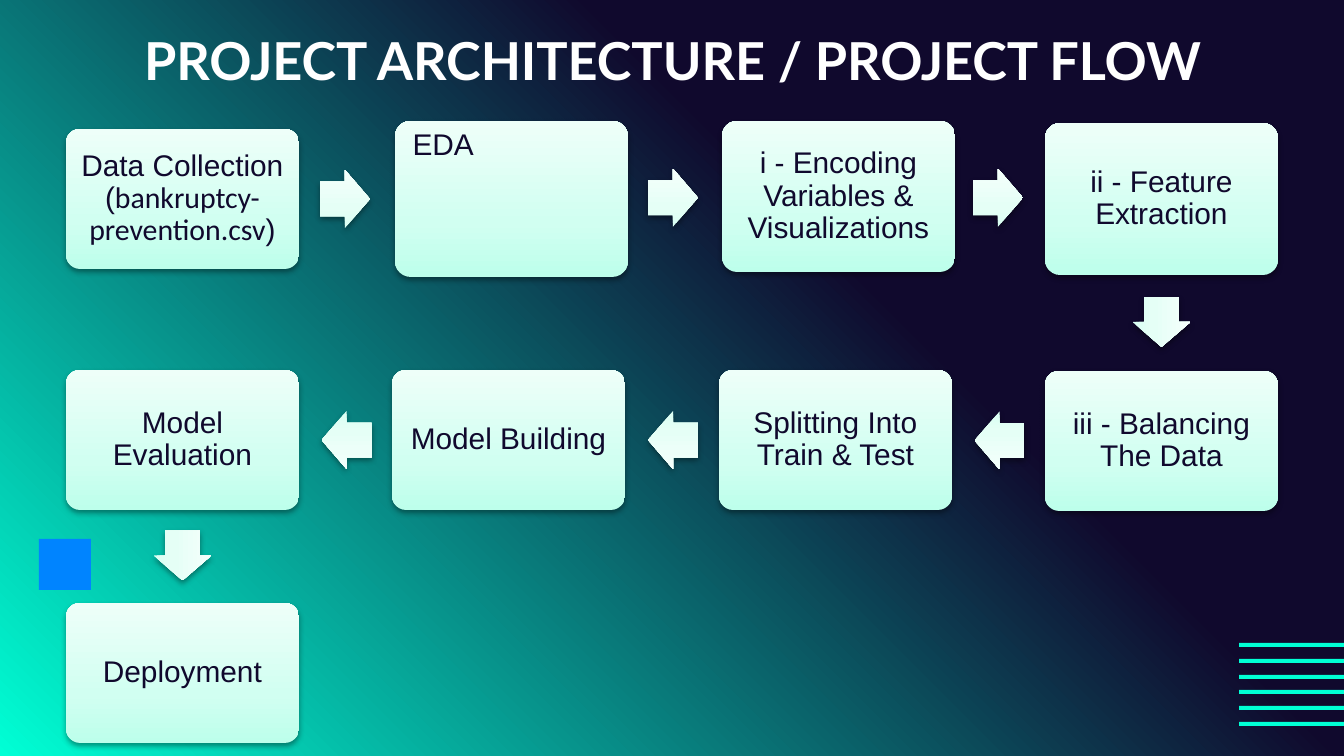
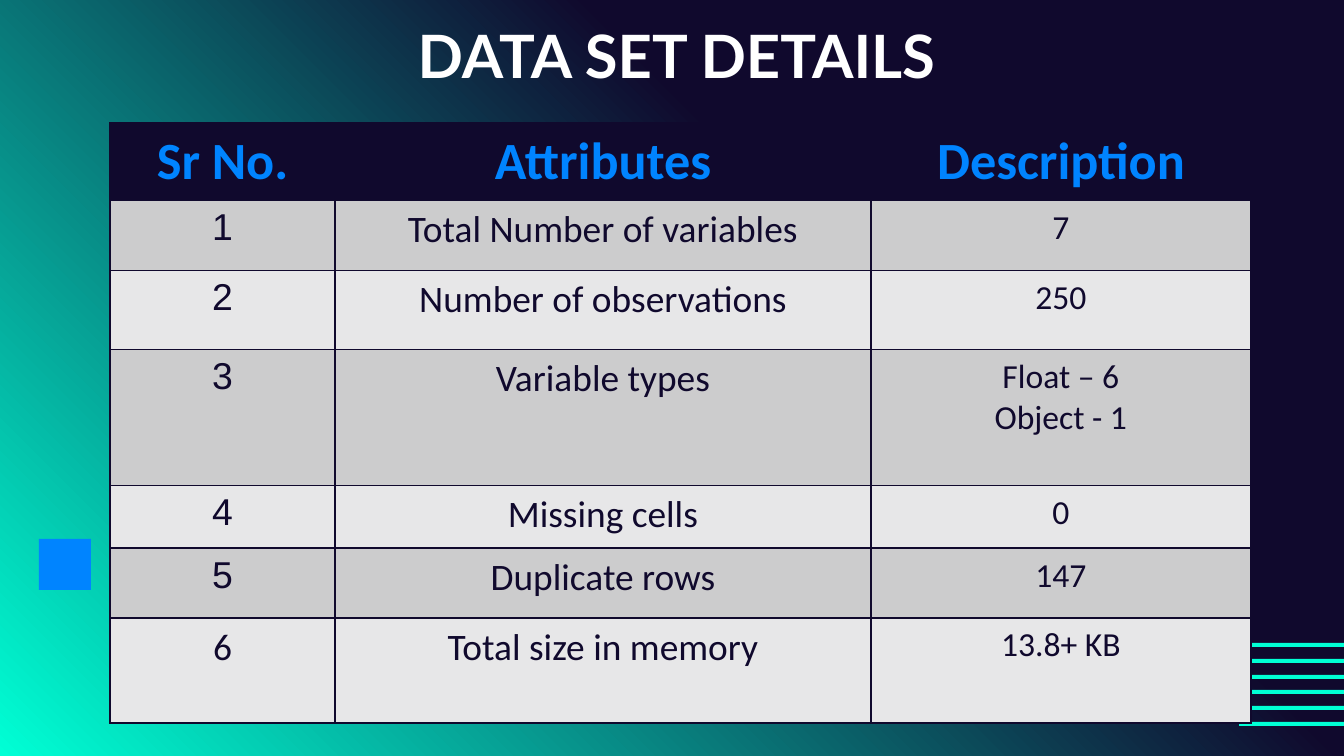
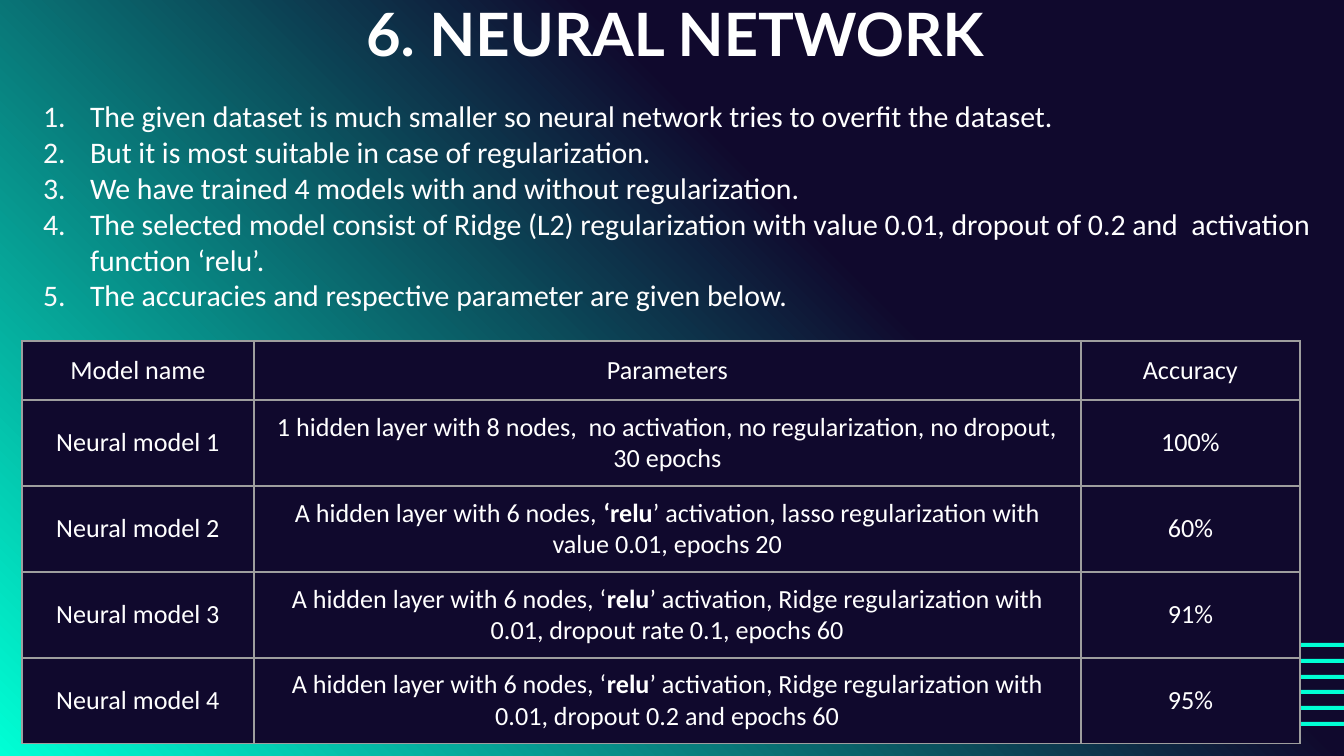
import copy
from dataclasses import dataclass

import lxml.etree
import pptx
import pptx.dml.color
import pptx.enum.shapes
import pptx.enum.text
import pptx.oxml
import pptx.oxml.ns
import pptx.util

ALIGN = pptx.enum.text.PP_ALIGN
ANCHOR = pptx.enum.text.MSO_ANCHOR
SHAPE = pptx.enum.shapes.MSO_SHAPE
qn = pptx.oxml.ns.qn


@dataclass(frozen=True)
class Theme:
    navy: str = "10092D"
    mint: str = "00FFD5"
    blue: str = "0084FF"
    white: str = "FFFFFF"
    number: str = "FAFAFA"
    band_dark: str = "CCCCCD"
    band_light: str = "E7E7E8"
    grid: str = "9E9E9E"
    shadow: str = "000000"
    backdrop: tuple = ((0, "10092D"), (0.36, "10092D"), (1, "00FFD5"))
    card: tuple = ((0, "BDFFEB"), (0.35, "D1FFF1"), (1, "EEFFF9"))
    arrow: tuple = ((0, "DAFFF3"), (0.35, "E5FFF6"), (1, "F5FFFC"))
    title_font: str = "Lato"
    text_font: str = "Calibri"
    plain_font: str = "Arial"
    title_size: int = 32
    long_title_size: int = 28
    header_size: int = 28
    attribute_size: int = 20
    value_size: int = 18
    body_size: int = 16
    model_size: int = 14


THEME = Theme()


@dataclass(frozen=True)
class Run:
    text: str
    font: str
    size: int
    color: str
    bold: bool = False


@dataclass(frozen=True)
class Box:
    left: int
    top: int
    width: int
    height: int

    @property
    def right(self):
        return self.left + self.width

    @property
    def bottom(self):
        return self.top + self.height

    @property
    def middle(self):
        return self.top + self.height / 2

    def emu(self):
        return [px(side) for side in (self.left, self.top, self.width, self.height)]


SLIDE = Box(0, 0, 1344, 756)


def px(length):
    return pptx.util.Emu(round(length * 914400 / 134.4))


def rgb(value):
    return pptx.dml.color.RGBColor.from_string(value)


def write_runs(paragraph, runs):
    for part in runs:
        run = paragraph.add_run()
        run.text = part.text
        run.font.name = part.font
        run.font.size = pptx.util.Pt(part.size)
        run.font.bold = part.bold
        run.font.color.rgb = rgb(part.color)


def set_margins(frame, left, top, right, bottom):
    frame.margin_left, frame.margin_top = px(left), px(top)
    frame.margin_right, frame.margin_bottom = px(right), px(bottom)


def paint_gradient(fill, owner, stops, angle):
    fill.gradient()
    fill.gradient_angle = angle
    stop_list = owner.find(".//" + qn("a:gsLst"))
    stop_list.append(copy.deepcopy(stop_list[0]))
    for stop, (position, color) in zip(fill.gradient_stops, stops):
        stop.position = position
        stop.color.rgb = rgb(color)


def add_preset(slide, preset, box):
    shape = slide.shapes.add_shape(preset, *box.emu())
    shape.shadow.inherit = False
    shape.line.fill.background()
    return shape


def add_flat(slide, box, color):
    shape = add_preset(slide, SHAPE.RECTANGLE, box)
    shape.fill.solid()
    shape.fill.fore_color.rgb = rgb(color)


def add_raised(slide, preset, box, stops):
    shape = add_preset(slide, preset, box)
    paint_gradient(shape.fill, shape.element, stops, 90)
    effects = shape.element.spPr.find(qn("a:effectLst"))
    shadow = lxml.etree.SubElement(
        effects, qn("a:outerShdw"), blurRad=str(pptx.util.Pt(3.1)),
        dist=str(pptx.util.Pt(1.6)), dir="5400000", rotWithShape="0")
    color = lxml.etree.SubElement(shadow, qn("a:srgbClr"), val=THEME.shadow)
    lxml.etree.SubElement(color, qn("a:alpha"), val="38000")
    return shape


def add_decoration(slide):
    stripes = Box(1239, 643, 344, 83)
    for index in range(6):
        add_flat(slide, Box(stripes.left, stripes.top + round(index * 15.8),
                            stripes.width, 4), THEME.mint)
    add_flat(slide, Box(39, 539, 52, 51), THEME.blue)


def start_slide(deck, title, box, size=THEME.title_size, align=ALIGN.CENTER):
    slide = deck.slides.add_slide(deck.slide_layouts[5])
    add_decoration(slide)
    heading = slide.shapes.title
    heading.left, heading.top, heading.width, heading.height = box.emu()
    frame = heading.text_frame
    frame.auto_size = pptx.enum.text.MSO_AUTO_SIZE.NONE
    frame.vertical_anchor = ANCHOR.MIDDLE
    set_margins(frame, 13, 0, 13, 0)
    frame.paragraphs[0].alignment = align
    write_runs(frame.paragraphs[0],
               [Run(title, THEME.title_font, size, THEME.white, True)])
    return slide


def add_card(slide, box, runs, corner_text):
    card = add_raised(slide, SHAPE.ROUNDED_RECTANGLE, box, THEME.card)
    card.adjustments[0] = 0.1
    frame = card.text_frame
    frame.word_wrap = True
    frame.vertical_anchor = ANCHOR.TOP if corner_text else ANCHOR.MIDDLE
    set_margins(frame, *((13, 4, 9, 9) if corner_text else (9, 9, 9, 9)))
    paragraph = frame.paragraphs[0]
    paragraph.alignment = ALIGN.LEFT if corner_text else ALIGN.CENTER
    paragraph.line_spacing = 0.9
    write_runs(paragraph, runs)


def add_step_arrow(slide, source, target):
    width, height, lead = 50, 58, 2
    if target.top >= source.bottom:
        angle = 90
        x = source.left + source.width / 2
        y = (source.bottom + target.top) / 2 - 1
    else:
        forward = target.left > source.left
        angle = 0 if forward else 180
        first, second = (source, target) if forward else (target, source)
        x = (first.right + second.left) / 2 + (-lead if forward else 1)
        y = (source.middle + target.middle) / 2
    arrow = add_raised(slide, SHAPE.RIGHT_ARROW,
                       Box(x - width / 2, y - height / 2, width, height), THEME.arrow)
    arrow.adjustments[0] = 0.6
    arrow.adjustments[1] = 0.5
    arrow.rotation = angle


def step_text(text, font=THEME.plain_font):
    return Run(text, font, THEME.body_size, THEME.navy)


def build_flow(deck):
    slide = start_slide(deck, "PROJECT ARCHITECTURE / PROJECT FLOW",
                        Box(106, 0, 1133, 119), THEME.long_title_size)
    collection = [step_text("Data Collection ("),
                  step_text("bankruptcy-prevention.csv", THEME.text_font),
                  step_text(")")]
    steps = [
        (66, 129, 140, collection),
        (395, 121, 156, [step_text("EDA")]),
        (722, 121, 151, [step_text("i - Encoding Variables & Visualizations")]),
        (1045, 123, 152, [step_text("ii - Feature Extraction")]),
        (1045, 371, 140, [step_text("iii - Balancing The Data")]),
        (719, 370, 140, [step_text("Splitting Into Train & Test")]),
        (392, 370, 140, [step_text("Model Building")]),
        (66, 370, 140, [step_text("Model Evaluation")]),
        (66, 603, 140, [step_text("Deployment")]),
    ]
    previous = None
    for left, top, height, runs in steps:
        box = Box(left, top, 233, height)
        if previous:
            add_step_arrow(slide, previous, box)
        add_card(slide, box, runs, runs[0].text == "EDA")
        previous = box


def format_cell(cell, paragraphs, fill, border, border_width, anchor):
    properties = cell._tc.get_or_add_tcPr()
    for side in ("a:lnL", "a:lnR", "a:lnT", "a:lnB"):
        line = lxml.etree.SubElement(properties, qn(side),
                                     w=str(pptx.util.Pt(border_width)))
        solid = lxml.etree.SubElement(line, qn("a:solidFill"))
        lxml.etree.SubElement(solid, qn("a:srgbClr"), val=border)
    cell.fill.solid()
    cell.fill.fore_color.rgb = rgb(fill)
    cell.vertical_anchor = anchor
    frame = cell.text_frame
    for index, runs in enumerate(paragraphs):
        paragraph = frame.add_paragraph() if index else frame.paragraphs[0]
        paragraph.alignment = ALIGN.CENTER
        write_runs(paragraph, runs)


def add_grid(slide, left, top, widths, heights, rows, fills, border, border_width, anchor):
    box = Box(left, top, sum(widths), sum(heights))
    table = slide.shapes.add_table(len(rows), len(widths), *box.emu()).table
    table.first_row = False
    table.horz_banding = False
    for column, width in zip(table.columns, widths):
        column.width = px(width)
    for row, height, contents, fill in zip(table.rows, heights, rows, fills):
        row.height = px(height)
        for cell, paragraphs in zip(row.cells, contents):
            format_cell(cell, paragraphs, fill, border, border_width, anchor)


def build_details(deck):
    slide = start_slide(deck, "DATA SET DETAILS", Box(110, 15, 1133, 80))
    details = [
        ("Total Number of variables", ["7"]),
        ("Number of observations", ["250"]),
        ("Variable types", ["Float – 6", "Object - 1"]),
        ("Missing cells", ["0"]),
        ("Duplicate rows", ["147"]),
        ("Total size in memory", ["13.8+ KB"]),
    ]
    rows = [[[[Run(name, THEME.text_font, THEME.header_size, THEME.blue, True)]]
             for name in ("Sr No.", "Attributes", "Description")]]
    for number, (attribute, values) in enumerate(details, 1):
        number_font = THEME.text_font if number == len(details) else THEME.plain_font
        rows.append([
            [[Run(str(number), number_font, THEME.attribute_size, THEME.navy)]],
            [[Run(attribute, THEME.text_font, THEME.attribute_size, THEME.navy)]],
            [[Run(value, THEME.text_font, THEME.value_size, THEME.navy)]
             for value in values],
        ])
    fills = [THEME.navy] + [THEME.band_dark, THEME.band_light] * 3
    add_grid(slide, 110, 123, (225, 536, 380), (77, 70, 79, 136, 63, 70, 105),
             rows, fills, THEME.navy, 1, ANCHOR.TOP)


def add_numbered_list(slide, box, points):
    frame = slide.shapes.add_textbox(*box.emu()).text_frame
    frame.word_wrap = True
    set_margins(frame, 13, 13, 13, 13)
    for index, point in enumerate(points):
        paragraph = frame.add_paragraph() if index else frame.paragraphs[0]
        properties = paragraph._p.get_or_add_pPr()
        properties.set("marL", str(px(67)))
        properties.set("indent", str(px(-47)))
        color = lxml.etree.SubElement(properties, qn("a:buClr"))
        lxml.etree.SubElement(color, qn("a:srgbClr"), val=THEME.number)
        lxml.etree.SubElement(properties, qn("a:buFont"), typeface=THEME.text_font)
        lxml.etree.SubElement(properties, qn("a:buAutoNum"), type="arabicPeriod")
        write_runs(paragraph, [Run(point, THEME.text_font, THEME.body_size, THEME.white)])


def model_text(text, bold=False):
    return Run(text, THEME.text_font, THEME.model_size, THEME.white, bold)


def build_network(deck):
    slide = start_slide(deck, "6. NEURAL NETWORK", Box(353, 0, 665, 66),
                        align=ALIGN.LEFT)
    add_numbered_list(slide, Box(10, 85, 1334, 277), [
        "The given dataset is much smaller so neural network tries to overfit the dataset.",
        "But it is most suitable in case of regularization.",
        "We have trained 4 models with and without regularization.",
        "The selected model consist of Ridge (L2) regularization with value 0.01, "
        "dropout of 0.2 and  activation function ‘relu’.",
        "The accuracies and respective parameter are given below.",
    ])
    layer = "A hidden layer with 6 nodes, "
    ridge = "’ activation, Ridge regularization with 0.01, "
    models = [
        ([model_text("1 hidden layer with 8 nodes,  no activation, no regularization, "
                     "no dropout, 30 epochs")], "100%"),
        ([model_text(layer), model_text("‘relu", True),
          model_text("’ activation, lasso regularization with value 0.01, epochs 20")],
         "60%"),
        ([model_text(layer + "‘"), model_text("relu", True),
          model_text(ridge + "dropout rate 0.1, epochs 60")], "91%"),
        ([model_text(layer + "‘"), model_text("relu", True),
          model_text(ridge + "dropout 0.2 and epochs 60")], "95%"),
    ]
    rows = [[[[model_text(name)]] for name in ("Model name", "Parameters", "Accuracy")]]
    for number, (parameters, accuracy) in enumerate(models, 1):
        rows.append([[[model_text(f"Neural model {number}")]], [parameters],
                     [[model_text(accuracy)]]])
    add_grid(slide, 22, 341, (232, 827, 219), (59, 86, 86, 86, 86), rows,
             [THEME.navy] * len(rows), THEME.grid, 0.75, ANCHOR.MIDDLE)


def main():
    deck = pptx.Presentation()
    deck.slide_width, deck.slide_height = px(SLIDE.width), px(SLIDE.height)
    master = deck.slide_master
    paint_gradient(master.background.fill, master.element, THEME.backdrop, 225)
    build_flow(deck)
    build_details(deck)
    build_network(deck)
    deck.save("out.pptx")


if __name__ == "__main__":
    main()
